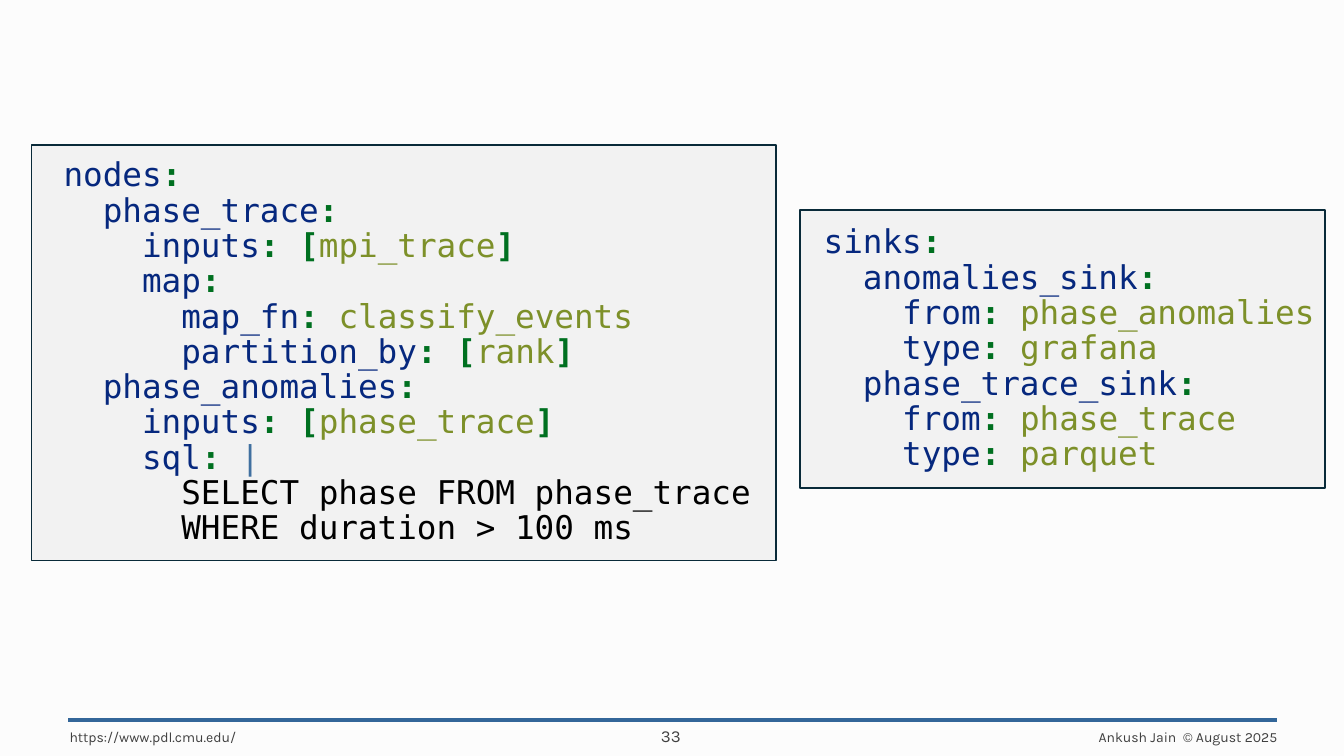
import dataclasses
import itertools

import pptx
import pptx.dml.color
import pptx.enum.shapes
import pptx.enum.text
import pptx.oxml
import pptx.oxml.ns
import pptx.util

Pt = pptx.util.Pt
Align = pptx.enum.text.PP_ALIGN
Anchor = pptx.enum.text.MSO_ANCHOR


@dataclasses.dataclass(frozen=True)
class Theme:
    background: str = "FCFCFC"
    panel_fill: str = "F2F2F2"
    panel_line: str = "092A39"
    rule: str = "336699"
    footer: str = "404040"
    key: str = "06287E"
    punctuation: str = "007020"
    value: str = "7D9029"
    block_mark: str = "4070A0"
    plain: str = "000000"
    code_font: str = "DejaVu Sans Mono"
    footer_font: str = "Karla"
    code_size: float = 28
    footer_size: float = 12
    number_size: float = 14.4


THEME = Theme()

NODES_CODE = """\
nodes:
  phase_trace:
    inputs: [mpi_trace]
    map:
      map_fn: classify_events
      partition_by: [rank]
  phase_anomalies:
    inputs: [phase_trace]
    sql: |
      SELECT phase FROM phase_trace
      WHERE duration > 100 ms"""

SINKS_CODE = """\
sinks:
  anomalies_sink:
    from: phase_anomalies
    type: grafana
  phase_trace_sink:
    from: phase_trace
    type: parquet"""


def rgb(code):
    return pptx.dml.color.RGBColor.from_string(code)


def add_span(para, text, font, size, color, bold=False):
    span = para.add_run()
    span.text = text
    span.font.name = font
    span.font.size = Pt(size)
    span.font.bold = bold
    span.font.color.rgb = rgb(color)


def value_color(character):
    if character in "[]":
        return THEME.punctuation
    return THEME.block_mark if character == "|" else THEME.value


def color_yaml(line):
    """Yield the pieces of one YAML line, each with its colour."""
    key, colon, value = line.partition(":")
    if not colon:
        yield line, THEME.plain
        return
    yield key, THEME.key
    yield colon, THEME.punctuation
    for color, characters in itertools.groupby(value, value_color):
        yield "".join(characters), color


def add_code_panel(page, code, left, top, width, height, inset_left, inset_top):
    panel = page.shapes.add_shape(
        pptx.enum.shapes.MSO_SHAPE.RECTANGLE,
        Pt(left), Pt(top), Pt(width), Pt(height))
    panel.shadow.inherit = False
    panel.fill.solid()
    panel.fill.fore_color.rgb = rgb(THEME.panel_fill)
    panel.line.color.rgb = rgb(THEME.panel_line)
    panel.line.width = Pt(1.5)

    frame = panel.text_frame
    frame.word_wrap = True
    frame.vertical_anchor = Anchor.TOP
    frame.margin_left, frame.margin_top = Pt(inset_left), Pt(inset_top)
    frame.margin_right = frame.margin_bottom = 0
    for index, line in enumerate(code.splitlines()):
        para = frame.add_paragraph() if index else frame.paragraphs[0]
        para.alignment = Align.LEFT
        para.line_spacing = 0.9
        for text, color in color_yaml(line):
            add_span(para, text, THEME.code_font, THEME.code_size, color,
                     bold=color == THEME.punctuation)


def add_footer_text(page, text, left, top, size, alignment):
    box = page.shapes.add_textbox(Pt(left), Pt(top), Pt(259), Pt(34.5))
    frame = box.text_frame
    frame.word_wrap = True
    frame.vertical_anchor = Anchor.MIDDLE
    para = frame.paragraphs[0]
    para.alignment = alignment
    add_span(para, text, THEME.footer_font, size, THEME.footer)


def add_footer_rule(page, left, right, y):
    rule = page.shapes.add_connector(
        pptx.enum.shapes.MSO_CONNECTOR.STRAIGHT, Pt(left), Pt(y), Pt(right), Pt(y))
    rule.line.color.rgb = rgb(THEME.rule)
    rule.line.width = Pt(3.5)
    properties = rule._element.find(pptx.oxml.ns.qn("p:spPr"))
    properties.append(pptx.oxml.parse_xml(
        f"<a:effectLst {pptx.oxml.ns.nsdecls('a')}/>"))


def main():
    deck = pptx.Presentation()
    deck.slide_width, deck.slide_height = Pt(1152), Pt(648)
    page = deck.slides.add_slide(deck.slide_layouts.get_by_name("Blank"))
    page.background.fill.solid()
    page.background.fill.fore_color.rgb = rgb(THEME.background)

    add_footer_rule(page, 58.5, 1095, 617)
    add_footer_text(page, "Ankush Jain  © August 2025", 843, 614,
                    THEME.footer_size, Align.RIGHT)
    add_footer_text(page, "https://www.pdl.cmu.edu/", 52.5, 614,
                    THEME.footer_size, Align.LEFT)
    add_footer_text(page, "33", 445.5, 613.5, THEME.number_size, Align.CENTER)

    add_code_panel(page, NODES_CODE, 27, 124, 638, 356.5, 27.5, 12)
    add_code_panel(page, SINKS_CODE, 685.5, 180, 450, 238.5, 20.5, 13.5)

    deck.save("out.pptx")


if __name__ == "__main__":
    main()
